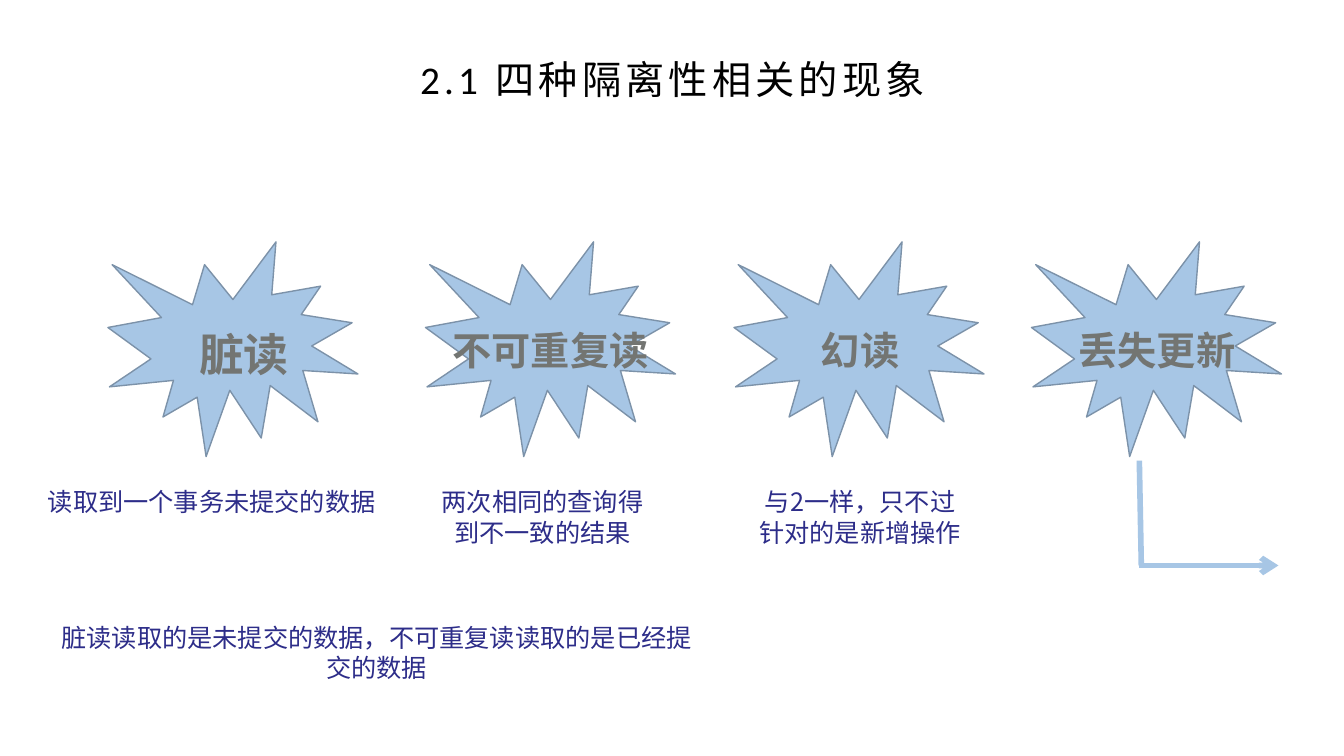
import pptx
import pptx.util
import pptx.dml.color
import pptx.enum.shapes
import pptx.enum.text
import pptx.oxml.ns
import pptx.oxml.xmlchemy

Inches = pptx.util.Inches
Pt = pptx.util.Pt
RGBColor = pptx.dml.color.RGBColor
MSO_SHAPE = pptx.enum.shapes.MSO_SHAPE
ANCHOR = pptx.enum.text.MSO_ANCHOR
OxmlElement = pptx.oxml.xmlchemy.OxmlElement
qn = pptx.oxml.ns.qn

BLACK = RGBColor(0x00, 0x00, 0x00)
WHITE = RGBColor(0xFF, 0xFF, 0xFF)
NAVY = RGBColor(0x2D, 0x2D, 0x89)
GRAY = RGBColor(0x73, 0x75, 0x72)
SKY = RGBColor(0xA7, 0xC6, 0xE5)
STEEL = RGBColor(0x7C, 0x92, 0xA9)
LATIN_FONT = "Calibri"
CHINESE_FONT = "Noto Sans CJK SC"

BURST_TOP, BURST_WIDTH, BURST_HEIGHT = 2.4, 2.48, 2.13
LABEL_TOP, CAPTION_TOP = 3.17, 4.78

PHENOMENA = [
    (1.07, "脏读", (1.71, LABEL_TOP, 1.42, 0.6), 32),
    (4.22, "不可重复读", (4.44, LABEL_TOP, 2.04, 0.54), 28),
    (7.28, "幻读", (7.87, LABEL_TOP, 1.32, 0.54), 28),
    (10.23, "丢失更新", (10.61, LABEL_TOP, 1.73, 0.54), 28),
]
PLAIN_CAPTIONS = [
    ("读取到一个事务未提交的数据", (0.31, CAPTION_TOP, 3.58, 0.4)),
    ("脏读读取的是未提交的数据，不可重复读读取的是已经提交的数据",
     (0.4, 6.12, 6.67, 0.71)),
]
BOXED_CAPTIONS = [
    ("两次相同的查询得到不一致的结果", (4.22, CAPTION_TOP, 2.32, 0.71)),
    ("与2一样，只不过针对的是新增操作", (7.37, CAPTION_TOP, 2.32, 0.71)),
]


def write_text(holder, text, *, size, color, font=CHINESE_FONT, bold=False,
               spacing=None, wrap=True, anchor=ANCHOR.TOP,
               margins=(0.1, 0.05, 0.1, 0.05)):
    frame = holder.text_frame
    frame.word_wrap = wrap
    frame.auto_size = pptx.enum.text.MSO_AUTO_SIZE.SHAPE_TO_FIT_TEXT
    frame.vertical_anchor = anchor
    (frame.margin_left, frame.margin_top,
     frame.margin_right, frame.margin_bottom) = map(Inches, margins)
    paragraph = frame.paragraphs[0]
    paragraph.alignment = pptx.enum.text.PP_ALIGN.CENTER
    run = paragraph.add_run()
    run.text = text
    run.font.size = Pt(size)
    run.font.bold = bold
    run.font.color.rgb = color
    run.font.name = font
    properties = run._r.find(qn("a:rPr"))
    east_asian = OxmlElement("a:ea")
    east_asian.set("typeface", CHINESE_FONT)
    properties.find(qn("a:latin")).addnext(east_asian)
    if spacing:
        properties.set("spc", str(spacing * 100))


def add_text(slide, text, area, **text_format):
    holder = slide.shapes.add_textbox(*map(Inches, area))
    write_text(holder, text, **text_format)


def add_filled_shape(slide, preset, area, fill, outline):
    shape = slide.shapes.add_shape(preset, *map(Inches, area))
    shape.shadow.inherit = False
    shape.fill.solid()
    shape.fill.fore_color.rgb = fill
    shape.line.color.rgb = outline
    shape.line.width = Pt(1)
    return shape


def add_line(slide, start, end, arrow=False):
    connector = slide.shapes.add_connector(
        pptx.enum.shapes.MSO_CONNECTOR.STRAIGHT, *map(Inches, start + end))
    connector.line.color.rgb = SKY
    connector.line.width = Pt(4)
    properties = connector._element.spPr
    if arrow:
        head = OxmlElement("a:tailEnd")
        head.set("type", "arrow")
        properties.find(qn("a:ln")).append(head)
    properties.append(OxmlElement("a:effectLst"))


def main():
    presentation = pptx.Presentation()
    presentation.slide_width = Inches(13.33)
    presentation.slide_height = Inches(7.5)
    slide = presentation.slides.add_slide(presentation.slide_layouts[6])

    add_text(slide, "2.1 四种隔离性相关的现象", (4.11, 0.55, 5.12, 0.47),
             size=28, color=BLACK, font=LATIN_FONT, spacing=3, wrap=False,
             anchor=ANCHOR.MIDDLE, margins=(0, 0, 0, 0))

    for caption, area in PLAIN_CAPTIONS:
        add_text(slide, caption, area, size=18, color=NAVY)
    for caption, area in BOXED_CAPTIONS:
        box = add_filled_shape(slide, MSO_SHAPE.RECTANGLE, area, WHITE, WHITE)
        write_text(box, caption, size=18, color=NAVY)

    for left, label, label_area, size in PHENOMENA:
        add_filled_shape(slide, MSO_SHAPE.EXPLOSION1,
                         (left, BURST_TOP, BURST_WIDTH, BURST_HEIGHT), SKY, STEEL)
        add_text(slide, label, label_area, size=size, color=GRAY,
                 font=LATIN_FONT, bold=True, margins=(0, 0.07, 0, 0))

    add_line(slide, (11.3, 5.61), (12.68, 5.61), arrow=True)
    add_line(slide, (11.32, 5.61), (11.3, 4.57))

    presentation.save("out.pptx")


if __name__ == "__main__":
    main()
